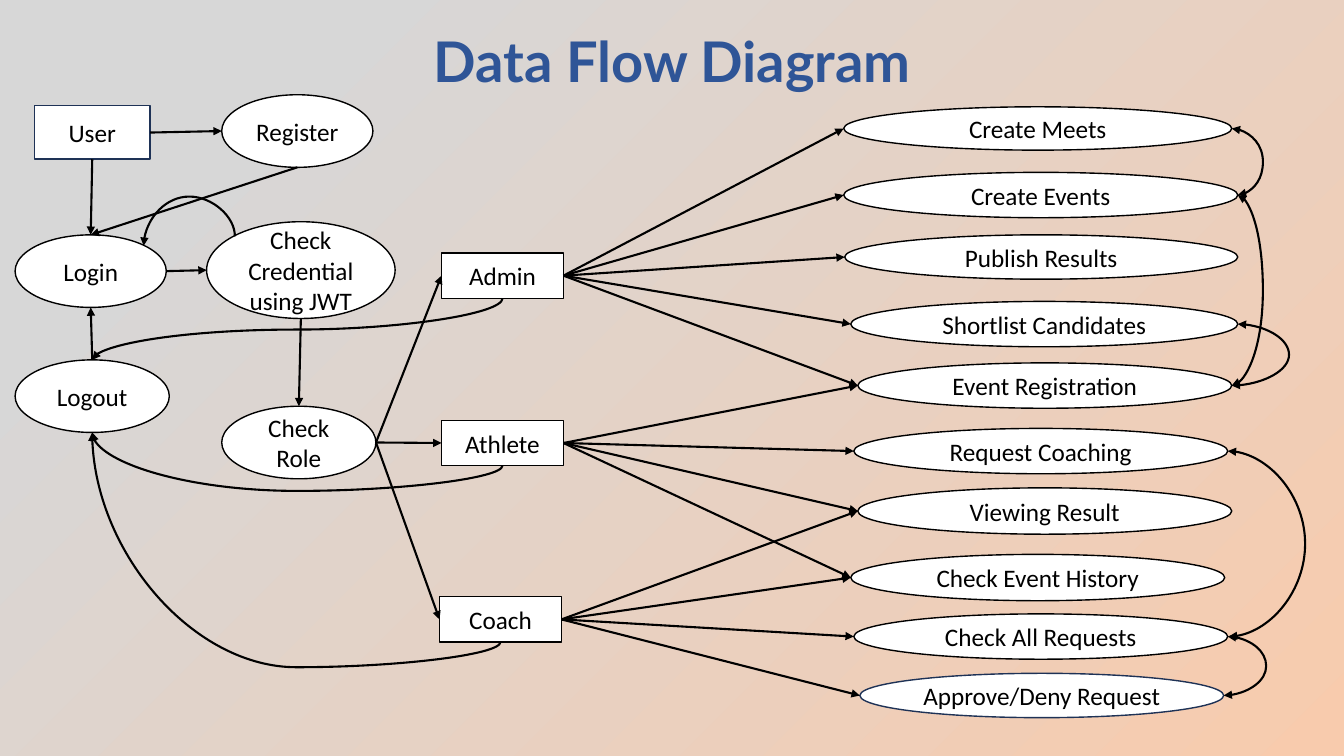
"""Build the data flow diagram slide of a sports meet application."""
from dataclasses import dataclass
from enum import IntEnum
from typing import Any

from lxml.etree import SubElement, fromstring
from pptx import Presentation
from pptx.dml.color import RGBColor as Rgb
from pptx.enum.shapes import MSO_CONNECTOR as Link, MSO_SHAPE as Form
from pptx.enum.text import MSO_ANCHOR as Anchor, PP_ALIGN as Align
from pptx.oxml.ns import nsdecls, qn
from pptx.util import Emu, Inches, Pt

CELL = Inches(0.1)
COLUMNS, ROWS = 133.33, 75


@dataclass(frozen=True)
class Theme:
    title: Rgb = Rgb.from_string("2F5597")
    ink: Rgb = Rgb.from_string("000000")
    paper: Rgb = Rgb.from_string("FFFFFF")
    navy: Rgb = Rgb.from_string("1E3256")
    backdrop: tuple = ((0, "F8CBAD"), (83, "D7D7D7"), (100, "D7D7D7"), (100, "E4E4E4"))
    title_font: str = "Lato"
    body_font: str = "Calibri"
    title_size: Pt = Pt(40)
    body_size: Pt = Pt(18)
    outline: Pt = Pt(1)
    arrow: Pt = Pt(1.5)


THEME = Theme()
TITLE_FONT = {"name": THEME.title_font, "size": THEME.title_size, "bold": True}
BODY_FONT = {"name": THEME.body_font, "size": THEME.body_size}


class Side(IntEnum):
    TOP = 0
    LEFT = 1
    BOTTOM = 2
    RIGHT = 3
    UPPER_LEFT = 4
    UPPER_RIGHT = 5


SHARES = {
    Side.TOP: (0.5, 0), Side.LEFT: (0, 0.5), Side.BOTTOM: (0.5, 1),
    Side.RIGHT: (1, 0.5), Side.UPPER_LEFT: (0.15, 0.15), Side.UPPER_RIGHT: (0.85, 0.15),
}


@dataclass(frozen=True)
class Step:
    label: str
    left: float
    top: float
    width: float
    height: float
    form: Form = Form.OVAL
    edge: Rgb = THEME.ink

    def point(self, side: Side) -> tuple[float, float]:
        across, down = SHARES[side]
        return self.left + across * self.width, self.top + down * self.height


@dataclass(frozen=True)
class Flow:
    source: str
    leaving: Side
    target: str
    entering: Side


@dataclass(frozen=True)
class Bend(Flow):
    reach: float
    upright: bool = False
    two_way: bool = False


STEPS = [
    Step("User", 3.4, 10.5, 11.5, 5.3, Form.RECTANGLE, THEME.navy),
    Step("Register", 22, 9.4, 15, 7.2),
    Step("Login", 1.5, 23.3, 15, 7.2),
    Step("Check Credential using JWT", 20.5, 22, 18.7, 9.6),
    Step("Check Role", 22, 40.3, 15.3, 7.2),
    Step("Logout", 1.5, 35.7, 15.3, 7.2),
    Step("Admin", 43.8, 25.1, 12.1, 4.5, Form.RECTANGLE),
    Step("Athlete", 43.8, 41.7, 12.1, 4.5, Form.RECTANGLE),
    Step("Coach", 43.6, 59.2, 12.1, 4.5, Form.RECTANGLE),
    Step("Create Meets", 83.7, 10.6, 38.5, 4.3),
    Step("Create Events", 83.7, 17.1, 39.1, 4.5),
    Step("Publish Results", 83.8, 23.3, 39, 4.4),
    Step("Shortlist Candidates", 84.4, 29.9, 38.4, 4.5),
    Step("Event Registration", 85.1, 36, 37.1, 4.5),
    Step("Request Coaching", 84.7, 42.5, 37.1, 4.5),
    Step("Viewing Result", 85.1, 48.4, 37.1, 4.6),
    Step("Check Event History", 84.4, 55, 37.1, 4.6),
    Step("Check All Requests", 84.7, 60.9, 37.1, 4.5),
    Step("Approve/Deny Request", 85.3, 66.8, 36.1, 4.4, edge=THEME.navy),
]
STEP = {step.label: step for step in STEPS}

PERMISSIONS = {
    "Admin": ("Create Meets", "Create Events", "Publish Results",
              "Shortlist Candidates", "Event Registration"),
    "Athlete": ("Event Registration", "Request Coaching", "Viewing Result",
                "Check Event History"),
    "Coach": ("Viewing Result", "Check Event History", "Check All Requests",
              "Approve/Deny Request"),
}
FLOWS = [
    Flow("User", Side.RIGHT, "Register", Side.LEFT),
    Flow("User", Side.BOTTOM, "Login", Side.TOP),
    Flow("Register", Side.BOTTOM, "Login", Side.TOP),
    Flow("Login", Side.RIGHT, "Check Credential using JWT", Side.LEFT),
    Flow("Check Credential using JWT", Side.BOTTOM, "Check Role", Side.TOP),
    Flow("Logout", Side.TOP, "Login", Side.BOTTOM),
    *(Flow("Check Role", Side.RIGHT, role, Side.LEFT) for role in PERMISSIONS),
    *(Flow(role, Side.RIGHT, action, Side.LEFT)
      for role, actions in PERMISSIONS.items() for action in actions),
]
RELATED = [
    ("Create Meets", "Create Events", 125.3),
    ("Create Events", "Event Registration", 125.3),
    ("Shortlist Candidates", "Event Registration", 127.9),
    ("Request Coaching", "Check All Requests", 129.6),
    ("Check All Requests", "Approve/Deny Request", 125.6),
]
BENDS = [
    Bend("Check Credential using JWT", Side.UPPER_LEFT, "Login", Side.UPPER_RIGHT, 19.5, True),
    Bend("Admin", Side.BOTTOM, "Logout", Side.TOP, 32.7, True),
    Bend("Athlete", Side.BOTTOM, "Logout", Side.BOTTOM, 48.7, True),
    Bend("Coach", Side.BOTTOM, "Logout", Side.BOTTOM, 66.2, True),
    *(Bend(first, Side.RIGHT, second, Side.RIGHT, reach, two_way=True)
      for first, second, reach in RELATED),
]


def cells(*counts: float) -> list[Emu]:
    """Turn grid counts into slide lengths."""
    return [Emu(round(count * CELL)) for count in counts]


def apply(target: Any, formats: dict[str, Any]) -> None:
    """Set every format value on the target."""
    for name, value in formats.items():
        setattr(target, name, value)


def write(frame: Any, text: str, anchor: Anchor, font: dict[str, Any], colour: Rgb) -> None:
    """Fill a text frame with one centred paragraph."""
    apply(frame, {"word_wrap": True, "vertical_anchor": anchor})
    paragraph = frame.paragraphs[0]
    paragraph.alignment = Align.CENTER
    run = paragraph.add_run()
    run.text = text
    apply(run.font, font)
    run.font.color.rgb = colour


def paint_backdrop(slide: Any) -> None:
    """Spread the gradient from the lower right corner."""
    stops = "".join(f'<a:gs pos="{at * 1000}"><a:srgbClr val="{colour}"/></a:gs>'
                    for at, colour in THEME.backdrop)
    slide.element.cSld.insert(0, fromstring(
        f'<p:bg {nsdecls("p", "a")}><p:bgPr><a:gradFill rotWithShape="1"><a:gsLst>{stops}</a:gsLst>'
        '<a:path path="circle"><a:fillToRect l="100000" t="100000"/></a:path>'
        '</a:gradFill><a:effectLst/></p:bgPr></p:bg>'))


def draw_step(slide: Any, step: Step) -> Any:
    """Draw one labelled step."""
    outline = slide.shapes.add_shape(
        step.form, *cells(step.left, step.top, step.width, step.height))
    outline.shadow.inherit = False
    outline.fill.solid()
    outline.fill.fore_color.rgb = THEME.paper
    outline.line.color.rgb = step.edge
    outline.line.width = THEME.outline
    write(outline.text_frame, step.label, Anchor.MIDDLE, BODY_FONT, THEME.ink)
    return outline


def style_arrow(arrow: Any, two_way: bool = False) -> None:
    """Give a connector its line and arrowheads."""
    arrow.line.color.rgb = THEME.ink
    arrow.line.width = THEME.arrow
    for end in ("a:headEnd", "a:tailEnd") if two_way else ("a:tailEnd",):
        SubElement(arrow.line._get_or_add_ln(), qn(end), type="triangle")
    SubElement(arrow._element.spPr, qn("a:effectLst"))


def draw_flow(slide: Any, flow: Flow, drawn: dict[str, Any]) -> None:
    """Draw a straight arrow and join it to the rectangles it meets."""
    source, target = STEP[flow.source], STEP[flow.target]
    arrow = slide.shapes.add_connector(
        Link.STRAIGHT, *cells(*source.point(flow.leaving), *target.point(flow.entering)))
    if source.form == Form.RECTANGLE:
        arrow.begin_connect(drawn[flow.source], flow.leaving.value)
    if target.form == Form.RECTANGLE:
        arrow.end_connect(drawn[flow.target], flow.entering.value)
    style_arrow(arrow)


def draw_bend(slide: Any, bend: Bend) -> None:
    """Draw a curved arrow that swings out to its reach."""
    x1, y1 = STEP[bend.source].point(bend.leaving)
    x2, y2 = STEP[bend.target].point(bend.entering)
    if abs(x2 - x1) < 0.1:
        x2 = x1 + 0.1
    share = (bend.reach - y1) / (y2 - y1) if bend.upright else (bend.reach - x1) / (x2 - x1)
    if bend.upright:
        middle_x, middle_y = (x1 + x2) / 2, (y1 + y2) / 2
        run, rise = (y2 - y1) / 2, abs(x2 - x1) / 2
        x1, y1, x2, y2 = middle_x - run, middle_y - rise, middle_x + run, middle_y + rise
    arrow = slide.shapes.add_connector(Link.CURVE, *cells(x1, y1, x2, y2))
    properties = arrow._element.spPr
    if bend.upright:
        properties.find(qn("a:xfrm")).set("rot", "5400000")
    SubElement(properties.find(f'.//{qn("a:avLst")}'), qn("a:gd"),
               name="adj1", fmla=f"val {round(share * 100000)}")
    style_arrow(arrow, bend.two_way)


def main() -> None:
    """Build and save the slide."""
    deck = Presentation()
    apply(deck, dict(zip(("slide_width", "slide_height"), cells(COLUMNS, ROWS))))
    slide = deck.slides.add_slide(deck.slide_layouts[6])
    paint_backdrop(slide)
    heading = slide.shapes.add_textbox(*cells(0, 1.5, COLUMNS, 8.4)).text_frame
    write(heading, "Data Flow Diagram", Anchor.BOTTOM, TITLE_FONT, THEME.title)
    heading.paragraphs[0].line_spacing = 0.9
    drawn = {step.label: draw_step(slide, step) for step in STEPS}
    for flow in FLOWS:
        draw_flow(slide, flow, drawn)
    for bend in BENDS:
        draw_bend(slide, bend)
    deck.save("out.pptx")


if __name__ == "__main__":
    main()
